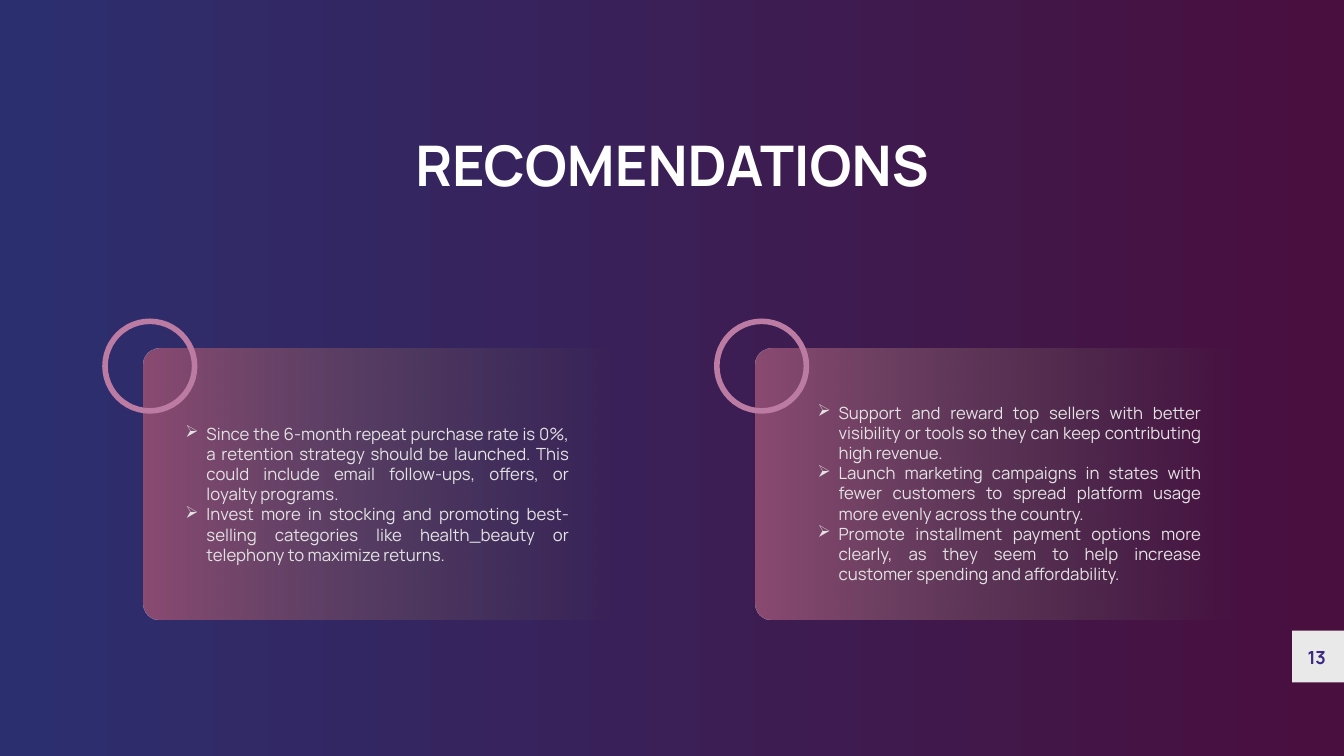
from lxml.etree import SubElement
from pptx import Presentation
from pptx.dml.color import RGBColor
from pptx.enum.shapes import MSO_SHAPE
from pptx.enum.text import MSO_ANCHOR, PP_ALIGN
from pptx.oxml.ns import qn
from pptx.util import Pt

PX = 9525
FONT = "Manrope"
COLORS = {
    "navy": "2C2F6F",
    "plum": "490F3E",
    "rose": "8B4B72",
    "taupe": "5B534F",
    "ring": "BB7BA3",
    "white": "FFFFFF",
    "body": "E3E3E3",
    "badge": "E9E9E9",
    "number": "3D2882",
}
LEFT_POINTS = [
    "Since the 6-month repeat purchase rate is 0%, a retention strategy should be launched. "
    "This could include email follow-ups, offers, or loyalty programs.",
    "Invest more in stocking and promoting best-selling categories like health_beauty "
    "or telephony to maximize returns.",
]
RIGHT_POINTS = [
    "Support and reward top sellers with better visibility or tools so they can keep "
    "contributing high revenue.",
    "Launch marketing campaigns in states with fewer customers to spread platform usage "
    "more evenly across the country.",
    "Promote installment payment options more clearly, as they seem to help increase "
    "customer spending and affordability.",
]


def color(name):
    """Return the named colour."""
    return RGBColor.from_string(COLORS[name])


def to_emu(*lengths):
    """Turn px lengths into EMU."""
    return [length * PX for length in lengths]


def set_gradient(fill, start, end):
    """Fill with a left-to-right gradient."""
    fill.gradient()
    fill.gradient_angle = 0
    for stop, name, position in zip(fill.gradient_stops, (start, end), (0, 1)):
        stop.color.rgb = color(name)
        stop.position = position


def prepare_frame(shape):
    """Wrap the text and remove the margins."""
    frame = shape.text_frame
    frame.word_wrap = True
    frame.vertical_anchor = MSO_ANCHOR.TOP
    frame.margin_left = frame.margin_top = frame.margin_right = frame.margin_bottom = 0
    return frame


def style_paragraph(paragraph, size, name, spacing, align, bold=False):
    """Set the paragraph layout and the look of its runs."""
    paragraph.alignment = align
    paragraph.line_spacing = Pt(spacing)
    for run in paragraph.runs:
        run.font.name = FONT
        run.font.size = Pt(size)
        run.font.bold = bold
        run.font.color.rgb = color(name)


def add_bullet(paragraph, indent):
    """Give the paragraph an arrow bullet with a hanging indent."""
    properties = paragraph._p.get_or_add_pPr()
    properties.set("marL", str(indent * PX))
    properties.set("indent", str(-indent * PX))
    SubElement(properties, qn("a:buChar"), char="➢")


def add_title(slide, left, top, width, height):
    """Place the slide title."""
    title = slide.shapes.title
    title.left, title.top, title.width, title.height = to_emu(left, top, width, height)
    frame = prepare_frame(title)
    frame.text = "RECOMENDATIONS"
    style_paragraph(frame.paragraphs[0], 60, "white", 83.2, PP_ALIGN.CENTER, True)


def add_card(slide, left, top, width, height, points, text_left, text_top):
    """Place a fading card with its bullet points and corner ring."""
    shapes = slide.shapes
    card = shapes.add_shape(MSO_SHAPE.ROUNDED_RECTANGLE, *to_emu(left, top, width, height))
    card.shadow.inherit = False
    card.adjustments[0] = 0.06
    card.line.fill.background()
    set_gradient(card.fill, "rose", "taupe")
    last_color = list(card.element.spPr.iter(qn("a:srgbClr")))[-1]
    SubElement(last_color, qn("a:alpha"), val="0")

    text_height = height - 2 * text_top
    box = shapes.add_textbox(*to_emu(left + text_left, top + text_top, 548, text_height))
    frame = prepare_frame(box)
    frame.text = "\n".join(points)
    for paragraph in frame.paragraphs:
        add_bullet(paragraph, 30)
        style_paragraph(paragraph, 18, "body", 21.6, PP_ALIGN.JUSTIFY)

    ring = shapes.add_shape(MSO_SHAPE.OVAL, *to_emu(left - 55, top - 39, 128, 128))
    ring.shadow.inherit = False
    ring.fill.background()
    ring.line.color.rgb = color("ring")
    ring.line.width = Pt(6)


def add_page_number(slide, left, top, size):
    """Place the page number on its square badge."""
    badge = slide.shapes.add_shape(MSO_SHAPE.RECTANGLE, *to_emu(left, top, size, size))
    badge.shadow.inherit = False
    badge.fill.solid()
    badge.fill.fore_color.rgb = color("badge")
    badge.line.fill.background()
    box = slide.shapes.add_textbox(*to_emu(left + 22, top + 17, 40, 34))
    frame = prepare_frame(box)
    frame.text = "13"
    style_paragraph(frame.paragraphs[0], 19.4, "number", 27.2, PP_ALIGN.LEFT, True)


def main():
    """Build the recommendations slide."""
    presentation = Presentation()
    presentation.slide_width, presentation.slide_height = to_emu(1920, 1080)
    slide = presentation.slides.add_slide(presentation.slide_layouts[5])
    set_gradient(slide.background.fill, "navy", "plum")
    add_title(slide, 584, 172, 752, 103)
    add_card(slide, 205, 498, 687, 387, LEFT_POINTS, 60, 107)
    add_card(slide, 1079, 498, 687, 387, RIGHT_POINTS, 89, 77)
    add_page_number(slide, 1846, 901, 74)
    presentation.save("out.pptx")


if __name__ == "__main__":
    main()
